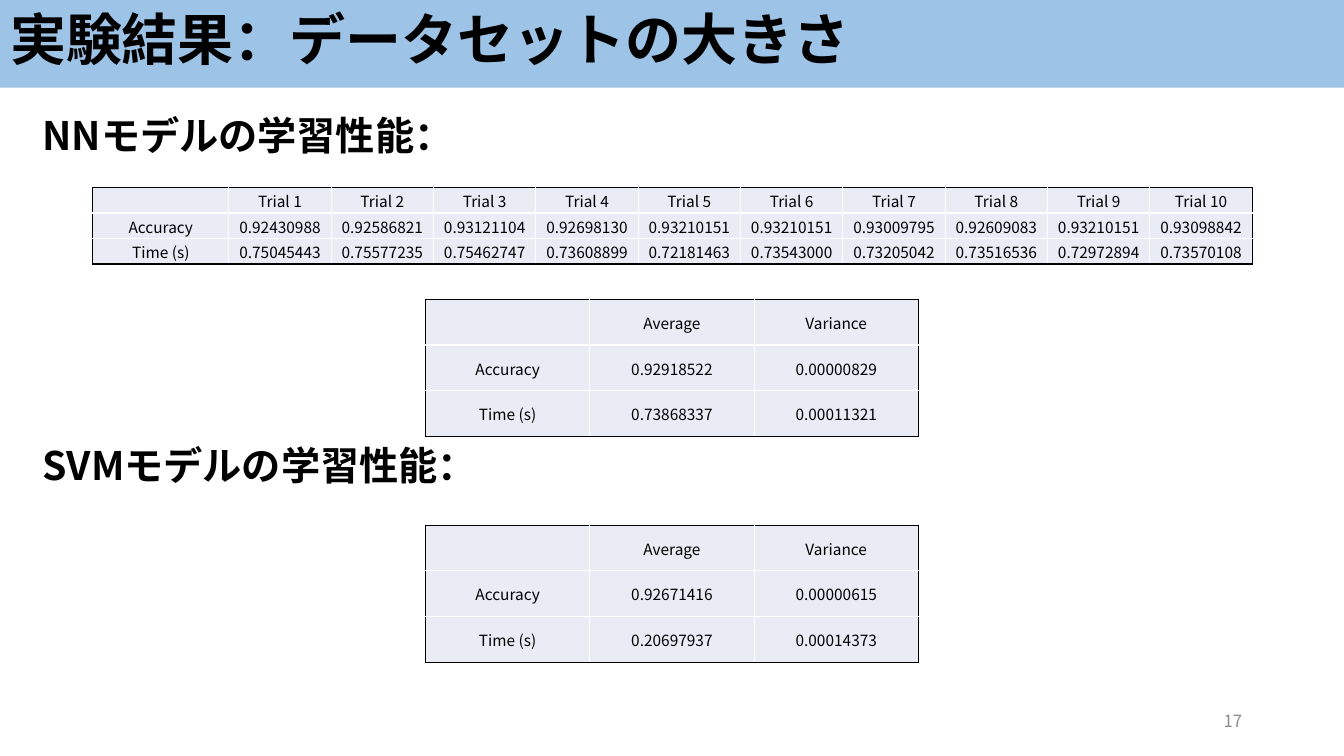
"""Build the slide on how data set size affects the experiment results."""

from dataclasses import dataclass

from lxml.etree import SubElement
from pptx import Presentation
from pptx.dml.color import RGBColor
from pptx.enum.shapes import MSO_SHAPE
from pptx.enum.text import MSO_ANCHOR, MSO_AUTO_SIZE, PP_ALIGN
from pptx.oxml.ns import qn
from pptx.util import Inches, Pt

FONT = "Noto Sans CJK JP"
BLACK, WHITE, GREY = "000000", "FFFFFF", "8C8C8C"
BANNER_BLUE, CELL_FILL = "9DC3E6", "E9EBF5"
CELL_SIZE = 11


@dataclass
class ResultTable:
    """A table of results with its place and column widths in inches."""

    left: float
    top: float
    height: float
    column_widths: list[float]
    rows: list[list[str]]


def summary_table(top: float, accuracy: list[str], time: list[str]) -> ResultTable:
    """Describe a table of average and variance."""
    rows = [["", "Average", "Variance"], ["Accuracy", *accuracy], ["Time (s)", *time]]
    return ResultTable(4.22, top, 1.36, [1.63] * 3, rows)


TABLES = [
    ResultTable(0.92, 1.86, 0.76, [1.35] + [1.015] * 10, [
        ["", *(f"Trial {number}" for number in range(1, 11))],
        ["Accuracy", "0.92430988", "0.92586821", "0.93121104", "0.92698130", "0.93210151",
         "0.93210151", "0.93009795", "0.92609083", "0.93210151", "0.93098842"],
        ["Time (s)", "0.75045443", "0.75577235", "0.75462747", "0.73608899", "0.72181463",
         "0.73543000", "0.73205042", "0.73516536", "0.72972894", "0.73570108"],
    ]),
    summary_table(2.97, ["0.92918522", "0.00000829"], ["0.73868337", "0.00011321"]),
    summary_table(5.21, ["0.92671416", "0.00000615"], ["0.20697937", "0.00014373"]),
]


def color(value: str) -> RGBColor:
    """Turn a hex string into a colour."""
    return RGBColor.from_string(value)


def place(shape, left: float, top: float, width: float, height: float) -> None:
    """Move and size a shape, in inches."""
    shape.left, shape.top = Inches(left), Inches(top)
    shape.width, shape.height = Inches(width), Inches(height)


def format_runs(paragraph, size: float, hex_color: str = BLACK, bold: bool = False) -> None:
    """Give every run of a paragraph its font."""
    for run in paragraph.runs:
        run.font.name, run.font.size, run.font.bold = FONT, Pt(size), bold
        run.font.color.rgb = color(hex_color)
        SubElement(run.font._element, qn("a:ea"), typeface=FONT)


def fill_placeholder(placeholder, lines: list[str], size: float) -> None:
    """Write bold, left-aligned lines without bullets into a placeholder."""
    text_frame = placeholder.text_frame
    text_frame.text = "\n".join(lines)
    text_frame.word_wrap = True
    text_frame.auto_size = MSO_AUTO_SIZE.NONE
    text_frame.vertical_anchor = MSO_ANCHOR.TOP
    for paragraph in text_frame.paragraphs:
        paragraph.alignment = PP_ALIGN.LEFT
        paragraph.line_spacing = 0.9
        paragraph.space_before = Pt(10)
        properties = paragraph._p.get_or_add_pPr()
        properties.set("marL", "0")
        properties.set("indent", "0")
        SubElement(properties, qn("a:buNone"))
        format_runs(paragraph, size, bold=True)


def add_border(cell, side: str, hex_color: str) -> None:
    """Draw one side of a cell."""
    line = SubElement(cell._tc.get_or_add_tcPr(), qn(f"a:ln{side}"), w=str(Pt(1)))
    fill = SubElement(line, qn("a:solidFill"))
    SubElement(fill, qn("a:srgbClr"), val=hex_color)


def format_cell(cell, text: str, outer_sides: dict[str, bool]) -> None:
    """Write a cell with black outer and white inner borders."""
    cell.text_frame.text = text
    cell.vertical_anchor = MSO_ANCHOR.MIDDLE
    cell.margin_left = cell.margin_right = cell.margin_top = Inches(0.01)
    cell.margin_bottom = 0
    paragraph = cell.text_frame.paragraphs[0]
    paragraph.alignment = PP_ALIGN.CENTER
    format_runs(paragraph, CELL_SIZE)
    if not text:
        SubElement(paragraph._p, qn("a:endParaRPr"), sz=str(CELL_SIZE * 100))
    for side, is_outer in outer_sides.items():
        add_border(cell, side, BLACK if is_outer else WHITE)
    cell.fill.solid()
    cell.fill.fore_color.rgb = color(CELL_FILL)


def add_result_table(slide, result: ResultTable) -> None:
    """Add one table of results."""
    row_count, column_count = len(result.rows), len(result.column_widths)
    table = slide.shapes.add_table(
        row_count, column_count, Inches(result.left), Inches(result.top),
        Inches(sum(result.column_widths)), Inches(result.height)).table
    table.first_row = table.horz_banding = False
    for column, width in zip(table.columns, result.column_widths):
        column.width = Inches(width)
    for row_index, texts in enumerate(result.rows):
        table.rows[row_index].height = Inches(result.height / row_count)
        for column_index, text in enumerate(texts):
            outer_sides = {
                "L": column_index == 0, "R": column_index == column_count - 1,
                "T": row_index == 0, "B": row_index == row_count - 1,
            }
            format_cell(table.cell(row_index, column_index), text, outer_sides)


def add_banner(slide, title) -> None:
    """Add the blue band behind the title."""
    banner = slide.shapes.add_shape(MSO_SHAPE.RECTANGLE, 0, 0, Inches(13.33), Inches(0.87))
    banner.shadow.inherit = False
    banner.fill.solid()
    banner.fill.fore_color.rgb = color(BANNER_BLUE)
    banner.line.fill.background()
    title._element.addprevious(banner._element)


def add_page_number(slide, number: str) -> None:
    """Add the page number at the bottom right."""
    box = slide.shapes.add_textbox(Inches(9.42), Inches(6.95), Inches(3), Inches(0.4))
    box.text_frame.word_wrap = True
    box.text_frame.vertical_anchor = MSO_ANCHOR.MIDDLE
    paragraph = box.text_frame.paragraphs[0]
    paragraph.text = number
    paragraph.alignment = PP_ALIGN.RIGHT
    format_runs(paragraph, 12, GREY)


def main() -> None:
    """Build and save the presentation."""
    presentation = Presentation()
    presentation.slide_width, presentation.slide_height = Inches(13.33), Inches(7.5)
    slide = presentation.slides.add_slide(presentation.slide_layouts[1])
    title, body = slide.placeholders
    add_banner(slide, title)
    place(title, 0, 0.07, 12.83, 0.73)
    fill_placeholder(title, ["実験結果：データセットの大きさ"], 40)
    place(body, 0.32, 1.11, 12.55, 6.09)
    fill_placeholder(body, ["NNモデルの学習性能：", "SVMモデルの学習性能："], 28)
    body.text_frame.paragraphs[1].space_before = Pt(205)
    add_page_number(slide, "17")
    for result in TABLES:
        add_result_table(slide, result)
    presentation.save("out.pptx")


if __name__ == "__main__":
    main()
